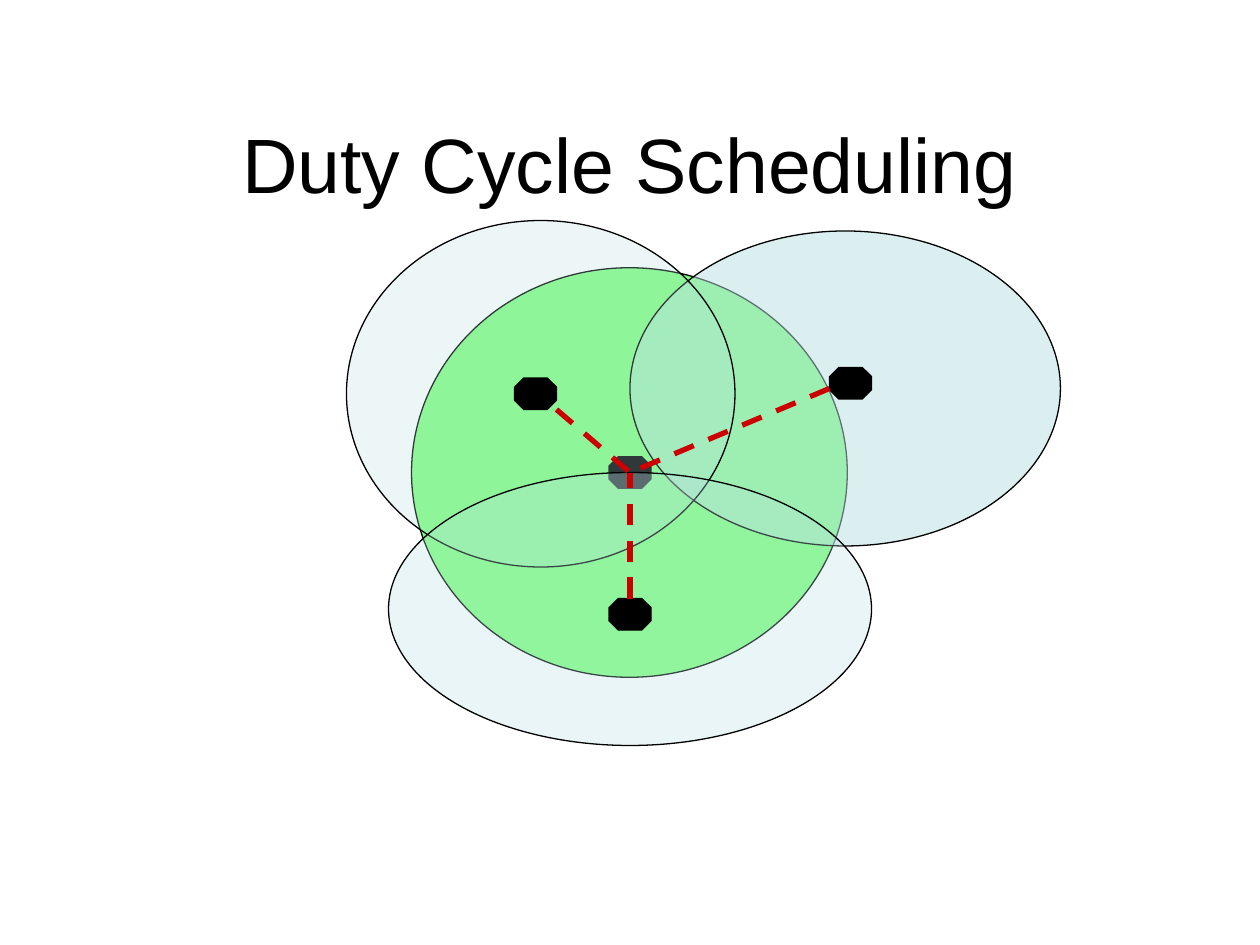
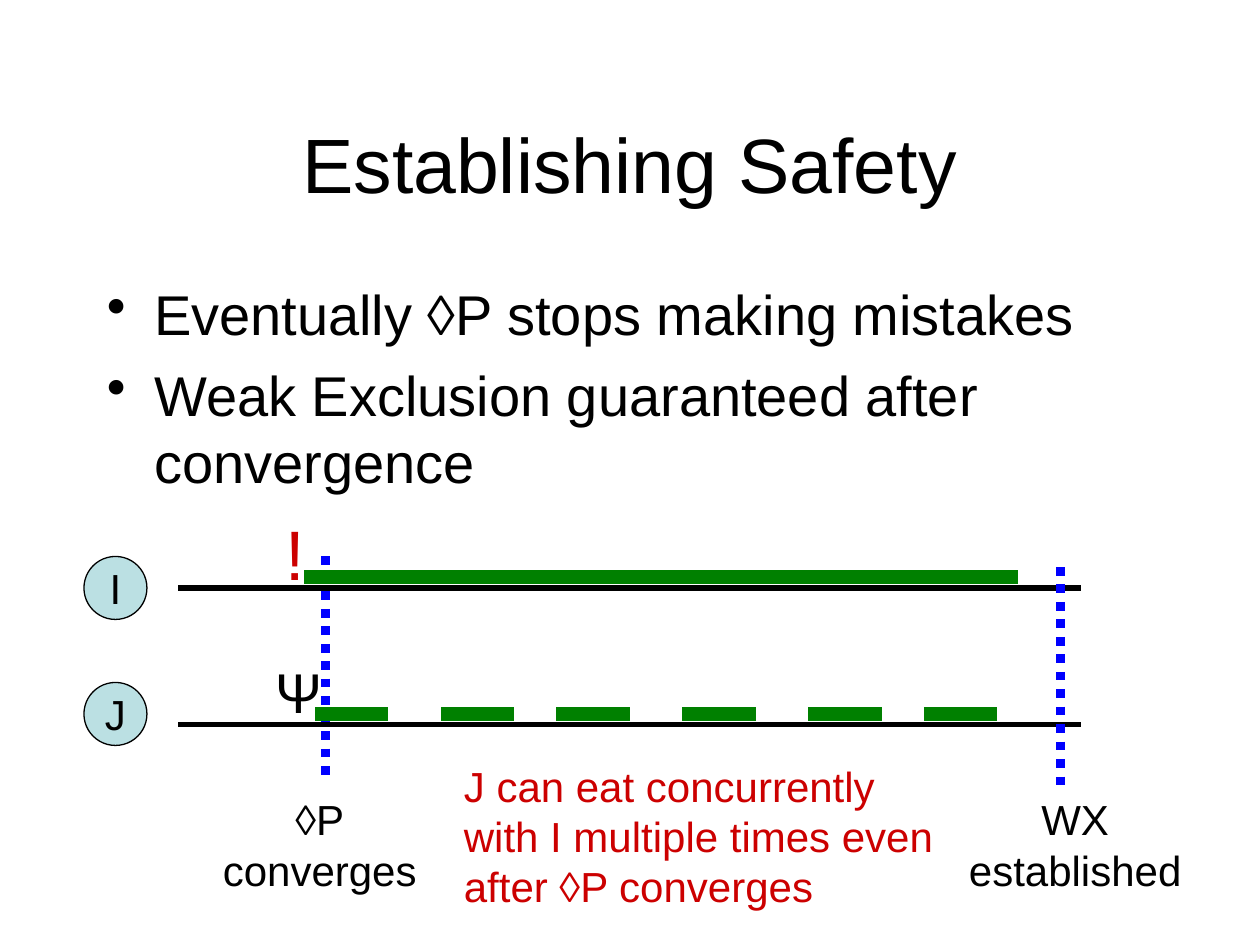
from lxml import etree
from pptx import Presentation
from pptx.dml.color import RGBColor
from pptx.enum.dml import MSO_LINE
from pptx.enum.shapes import MSO_CONNECTOR, MSO_SHAPE
from pptx.enum.text import MSO_ANCHOR, PP_ALIGN
from pptx.oxml.ns import qn
from pptx.util import Emu, Pt

OVAL, OCTAGON = MSO_SHAPE.OVAL, MSO_SHAPE.OCTAGON
STRAIGHT = MSO_CONNECTOR.STRAIGHT
DASH, DOT = MSO_LINE.DASH, MSO_LINE.ROUND_DOT
LEFT, CENTER = PP_ALIGN.LEFT, PP_ALIGN.CENTER
TOP, MIDDLE = MSO_ANCHOR.TOP, MSO_ANCHOR.MIDDLE

PX = 7620
FONT = "Arial"
BLACK, RED, GREEN, BLUE = "000000", "CC0000", "008000", "0000FF"
PALE, LIME = "BBE0E3", "00FF00"
TITLE_BOX = (90, 80, 1020, 150)

NODE_W, NODE_H = 40, 30
HUB = (600, 450)
RANGES = [
    {"box": (392, 255, 415, 390), "color": LIME, "alpha": 50, "node": HUB},
    {"box": (600, 220, 410, 300), "color": PALE, "alpha": 50, "node": (810, 365)},
    {"box": (330, 210, 370, 330), "color": PALE, "alpha": 26, "node": (510, 375)},
    {"box": (370, 450, 460, 260), "color": PALE, "alpha": 31, "node": (600, 585)},
]
LINK_STARTS = [(530, 390), (790, 370), (600, 570)]

POINTS = [
    "Eventually ◊P stops making mistakes",
    "Weak Exclusion guaranteed after convergence",
]
POINTS_BOX = (90, 260, 1020, 240)
BULLET_INDENT = 45
PROCESSES = [
    {"name": "I", "badge_top": 530, "axis": 560, "meals": [(290, 680)]},
    {"name": "J", "badge_top": 650, "axis": 690,
     "meals": [(start, 70) for start in (300, 420, 530, 650, 770, 880)]},
]
AXIS_LEFT, AXIS_RIGHT = 170, 1030
BADGE_LEFT, BADGE_SIZE = 80, 60
MEAL_LIFT = 10
CONVERGED = (310, 530)
EXCLUSIVE = (1010, 540)
EVENT_HEIGHT = 210
LABELS = [
    {"lines": ["◊P", "converges"], "box": (200, 750, 209, 108), "align": CENTER},
    {"lines": ["WX", "established"], "box": (911, 750, 226, 108), "align": CENTER},
    {"lines": ["Ψ"], "box": (251, 620, 66, 77), "size": 32},
    {"lines": ["!"], "box": (260, 480, 42, 92), "size": 40, "color": RED},
    {"lines": ["J can eat concurrently with I multiple times even after ◊P converges"],
     "box": (430, 718, 490, 156), "color": RED, "wrap": True},
]


def px(*lengths):
    return [Emu(length * PX) for length in lengths]


def rgb(color):
    return RGBColor.from_string(color)


def write(frame, lines, size=24, color=BLACK, align=LEFT, anchor=TOP,
          wrap=False, bullet=None, gap=0):
    frame.word_wrap = wrap
    frame.vertical_anchor = anchor
    for index, line in enumerate(lines):
        paragraph = frame.add_paragraph() if index else frame.paragraphs[0]
        paragraph.text = line
        paragraph.alignment = align
        if bullet:
            properties = paragraph._p.get_or_add_pPr()
            properties.set("marL", str(BULLET_INDENT * PX))
            properties.set("indent", str(-BULLET_INDENT * PX))
            etree.SubElement(properties, qn("a:buChar"), char=bullet)
        if index and gap:
            paragraph.space_before = Pt(gap)
        look = {"name": FONT, "size": Pt(size)}
        for key, value in look.items():
            setattr(paragraph.font, key, value)
        paragraph.font.color.rgb = rgb(color)


def add_text(slide, box, lines, **look):
    write(slide.shapes.add_textbox(*px(*box)).text_frame, lines, **look)


def add_shape(slide, kind, box, color, alpha=100):
    shape = slide.shapes.add_shape(kind, *px(*box))
    shape.shadow.inherit = False
    shape.fill.solid()
    shape.fill.fore_color.rgb = rgb(color)
    if alpha < 100:
        tint = shape.fill._xPr.find(qn("a:solidFill"))[0]
        etree.SubElement(tint, qn("a:alpha"), val=str(alpha * 1000))
    shape.line.color.rgb = rgb(BLACK)
    shape.line.width = Pt(0.75)
    return shape


def add_line(slide, start, end, color, width, dash=None):
    line = slide.shapes.add_connector(STRAIGHT, *px(*start, *end))
    line.line.color.rgb = rgb(color)
    line.line.width = Pt(width)
    if dash:
        line.line.dash_style = dash
    etree.SubElement(line._element.spPr, qn("a:effectLst"))


def add_event(slide, event):
    x, top = event
    add_line(slide, event, (x, top + EVENT_HEIGHT), BLUE, 5, DOT)


def new_slide(deck, title):
    slide = deck.slides.add_slide(deck.slide_layouts[6])
    add_text(slide, TITLE_BOX, [title], size=44, align=CENTER, anchor=MIDDLE, wrap=True)
    return slide


def build_scheduling(deck):
    slide = new_slide(deck, "Duty Cycle Scheduling")
    for sensor in RANGES:
        add_shape(slide, OVAL, sensor["box"], sensor["color"], sensor["alpha"])
        x, y = sensor["node"]
        node_box = (x - NODE_W // 2, y - NODE_H // 2, NODE_W, NODE_H)
        add_shape(slide, OCTAGON, node_box, BLACK)
    for start in LINK_STARTS:
        add_line(slide, start, HUB, RED, 3, DASH)


def build_safety(deck):
    slide = new_slide(deck, "Establishing Safety")
    add_text(slide, POINTS_BOX, POINTS, size=32, wrap=True, bullet="•", gap=8)
    for process in PROCESSES:
        y = process["axis"]
        add_line(slide, (AXIS_LEFT, y), (AXIS_RIGHT, y), BLACK, 3)
        badge_box = (BADGE_LEFT, process["badge_top"], BADGE_SIZE, BADGE_SIZE)
        badge = add_shape(slide, OVAL, badge_box, PALE)
        write(badge.text_frame, [process["name"]], align=CENTER, anchor=MIDDLE)
    add_event(slide, CONVERGED)
    for process in PROCESSES:
        y = process["axis"] - MEAL_LIFT
        for start, length in process["meals"]:
            add_line(slide, (start, y), (start + length, y), GREEN, 8)
    add_event(slide, EXCLUSIVE)
    for label in LABELS:
        add_text(slide, **label)


def main():
    deck = Presentation()
    deck.slide_width, deck.slide_height = px(1200, 900)
    build_scheduling(deck)
    build_safety(deck)
    deck.save("out.pptx")


if __name__ == "__main__":
    main()
